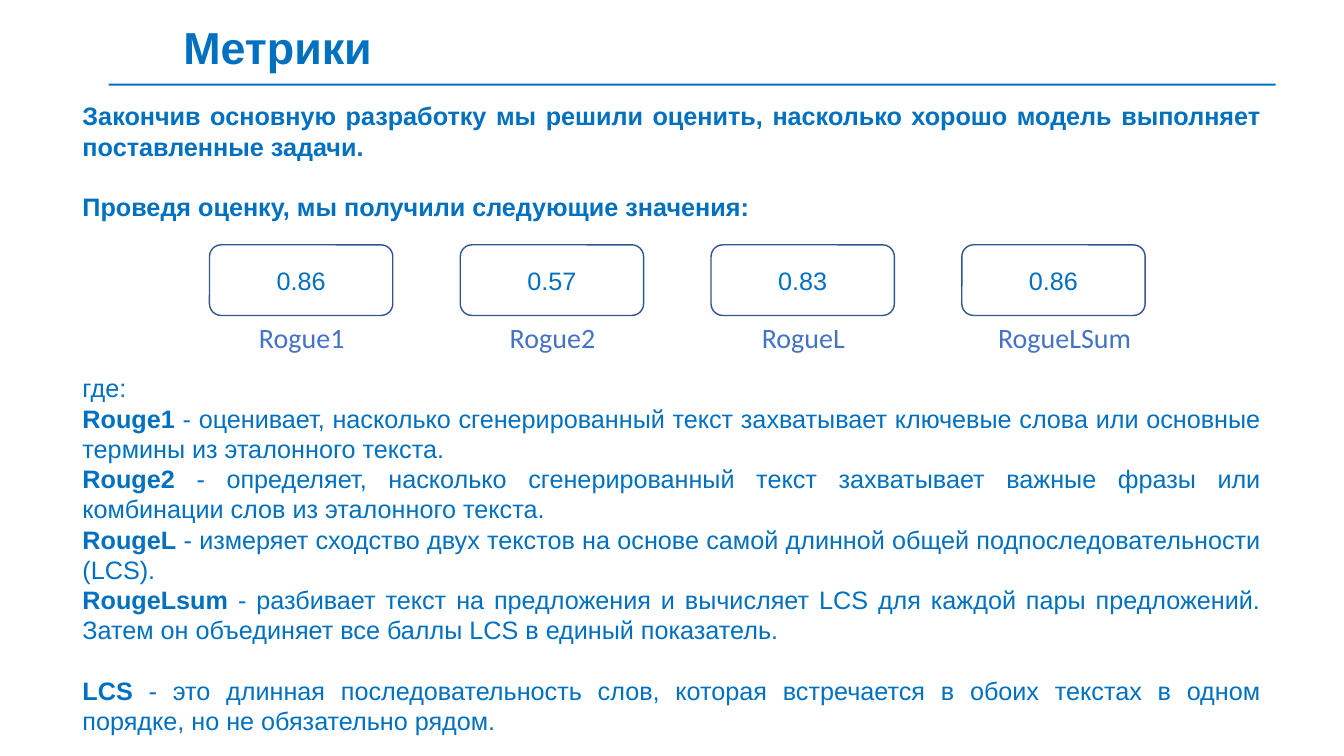
from pptx import Presentation
from pptx.dml.color import RGBColor
from pptx.enum.shapes import MSO_SHAPE
from pptx.enum.text import MSO_ANCHOR, PP_ALIGN
from pptx.util import Cm, Pt


def color(value):
    return RGBColor.from_string(value)


class SlideBuilder:
    BLUE = "0070C0"
    OUTLINE = "325491"
    LABEL = "4472C4"
    LINE_PITCH = 21.6

    def __init__(self, prs):
        self.s = prs.slides.add_slide(prs.slide_layouts[6])

    def format_run(self, r, size, bold=False, font="Arial", fill=BLUE):
        r.font.size = Pt(size)
        r.font.bold = bold
        r.font.name = font
        r.font.color.rgb = color(fill)

    def shape(self, kind, left, top, width, height, fill, line=None):
        sp = self.s.shapes.add_shape(kind, Cm(left), Cm(top), Cm(width), Cm(height))
        sp.shadow.inherit = False
        sp.fill.solid()
        sp.fill.fore_color.rgb = color(fill)
        if line:
            sp.line.color.rgb = color(line)
            sp.line.width = Pt(1)
        else:
            sp.line.fill.background()
        return sp

    def textbox(self, left, top, width, height):
        sp = self.s.shapes.add_textbox(Cm(left), Cm(top), Cm(width), Cm(height))
        sp.text_frame.word_wrap = True
        return sp.text_frame

    def rule(self, left, top, width, height):
        self.shape(MSO_SHAPE.RECTANGLE, left, top, width, height, self.BLUE)

    def text(self, text, left, top, width, height, align, **style):
        p = self.textbox(left, top, width, height).paragraphs[0]
        p.text = text
        p.alignment = align
        self.format_run(p.runs[0], **style)

    def score(self, value, left, top, width, height):
        sp = self.shape(MSO_SHAPE.ROUNDED_RECTANGLE, left, top, width, height,
                        "FFFFFF", self.OUTLINE)
        tf = sp.text_frame
        tf.text = value
        tf.vertical_anchor = MSO_ANCHOR.MIDDLE
        p = tf.paragraphs[0]
        p.alignment = PP_ALIGN.CENTER
        self.format_run(p.runs[0], 18)

    def body(self, paragraphs, left, top, width, height):
        tf = self.textbox(left, top, width, height)
        for i, (lines_before, term, rest) in enumerate(paragraphs):
            p = tf.add_paragraph() if i else tf.paragraphs[0]
            p.alignment = PP_ALIGN.JUSTIFY
            p.line_spacing = Pt(self.LINE_PITCH)
            p.space_before = Pt(lines_before * self.LINE_PITCH)
            for text, bold in ((term, True), (rest, False)):
                if text:
                    r = p.add_run()
                    r.text = text
                    self.format_run(r, 18, bold)


PARAGRAPHS = [
    (0, "Закончив основную разработку мы решили оценить, насколько хорошо "
        "модель выполняет поставленные задачи.", ""),
    (1, "Проведя оценку, мы получили следующие значения:", ""),
    (5, "", "где:"),
    (0, "Rouge1", " - оценивает, насколько сгенерированный текст захватывает "
                  "ключевые слова или основные термины из эталонного текста."),
    (0, "Rouge2", " - определяет, насколько сгенерированный текст захватывает "
                  "важные фразы или комбинации слов из эталонного текста."),
    (0, "RougeL", " - измеряет сходство двух текстов на основе самой длинной "
                  "общей подпоследовательности (LCS)."),
    (0, "RougeLsum", " - разбивает текст на предложения и вычисляет LCS для "
                     "каждой пары предложений. Затем он объединяет все баллы "
                     "LCS в единый показатель."),
    (1, "LCS", " - это длинная последовательность слов, которая встречается в "
               "обоих текстах в одном порядке, но не обязательно рядом."),
]

SCORES = [
    ("Rogue1", "0.86", 3.33),
    ("Rogue2", "0.57", 3.33),
    ("RogueL", "0.83", 3.33),
    ("RogueLSum", "0.86", 3.86),
]
SCORE_PITCH = 6.32


def main():
    prs = Presentation()
    prs.slide_width = Cm(33.87)
    prs.slide_height = Cm(19.05)
    slide = SlideBuilder(prs)
    slide.rule(2.74, 2.11, 29.41, 0.05)
    slide.text("Метрики", 4.37, 0.36, 27.79, 1.63, PP_ALIGN.LEFT, size=32, bold=True)
    slide.body(PARAGRAPHS, 1.83, 2.41, 30.2, 16.41)
    for i, (name, value, label_width) in enumerate(SCORES):
        offset = i * SCORE_PITCH
        slide.score(value, 5.28 + offset, 6.17, 4.62, 1.78)
        slide.text(name, 5.94 + offset, 7.95, label_width, 1.12, PP_ALIGN.CENTER,
                   size=20, font="Calibri", fill=slide.LABEL)
    prs.save("out.pptx")


if __name__ == "__main__":
    main()
